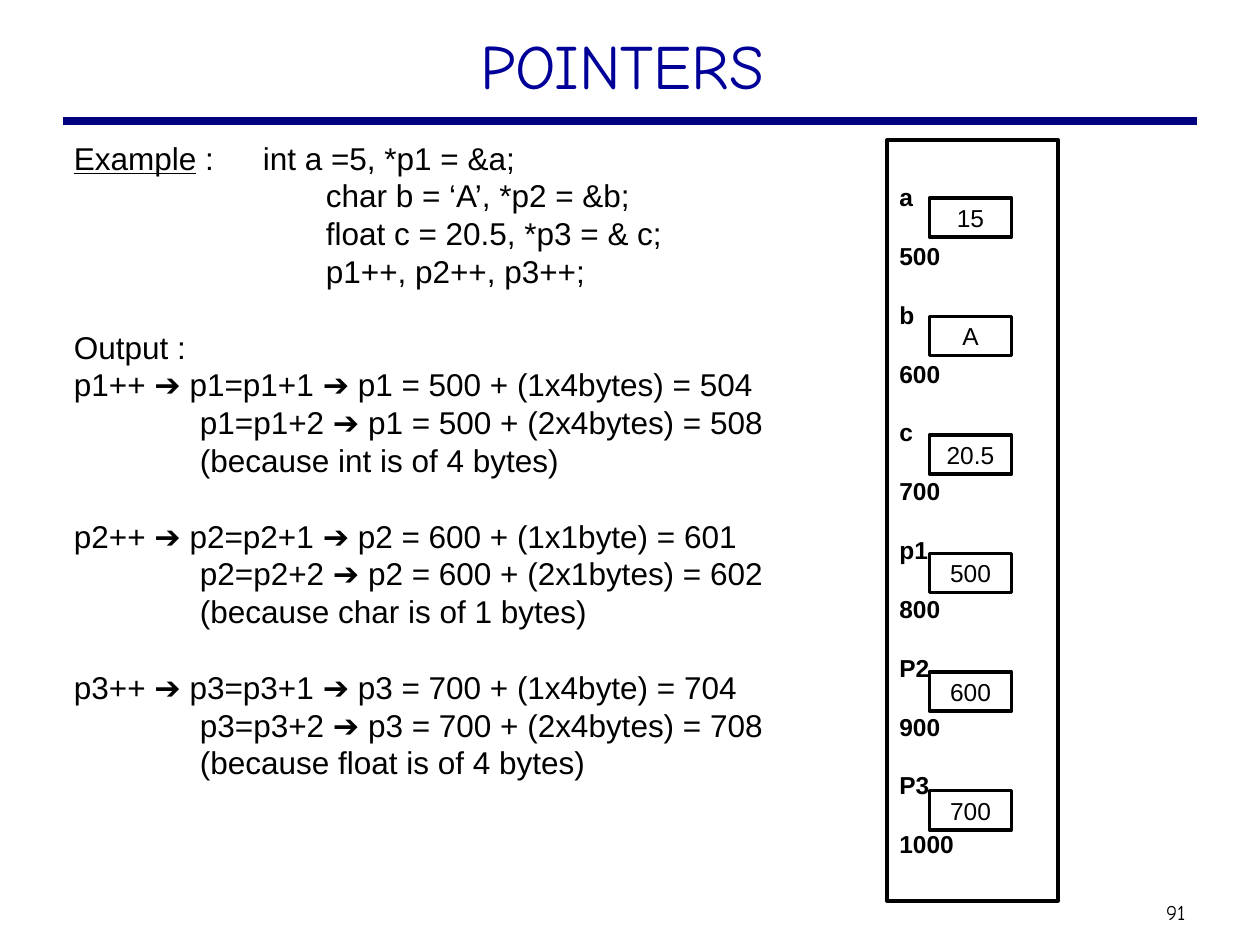
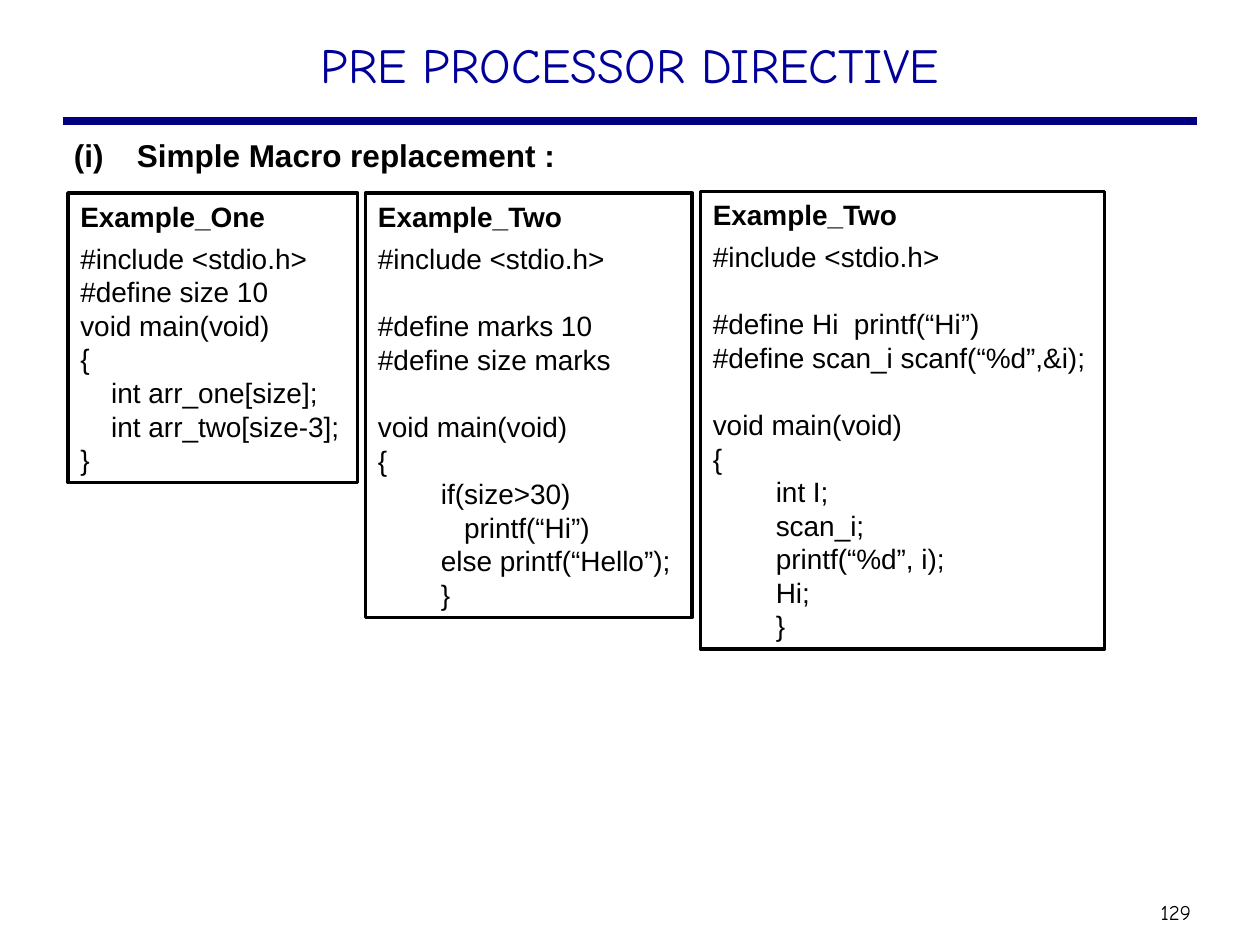
from dataclasses import dataclass

import pptx
import pptx.dml.color
import pptx.enum.shapes
import pptx.enum.text
import pptx.oxml
import pptx.util
from lxml import etree

Cm = pptx.util.Cm
Pt = pptx.util.Pt
Align = pptx.enum.text.PP_ALIGN
Anchor = pptx.enum.text.MSO_ANCHOR

TITLE_BLUE = pptx.dml.color.RGBColor(0x00, 0x00, 0x99)
RULE_NAVY = pptx.dml.color.RGBColor(0x00, 0x00, 0x80)
BLACK = pptx.dml.color.RGBColor(0x00, 0x00, 0x00)
BODY_FONT = "Arial"
TITLE_FONT = "Comic Neue"
LINE_PITCH = 1.2  # line height as a multiple of the text size
TAB = 2.54  # one default tab stop, in cm


@dataclass
class Box:
    """A rectangle in centimetres."""
    left: float
    top: float
    width: float
    height: float

    def lengths(self):
        return [Cm(n) for n in (self.left, self.top, self.width, self.height)]


@dataclass
class Line:
    """One paragraph; gap is the points of space before it."""
    text: str
    indent: float = 0
    gap: float = 0
    bold: bool = False
    underlined: str = ""  # underlined words that come before the text


def write_lines(shape, lines, size, font=BODY_FONT, color=BLACK,
                align=Align.LEFT, anchor=Anchor.TOP):
    frame = shape.text_frame
    for name, value in {"word_wrap": True, "vertical_anchor": anchor}.items():
        setattr(frame, name, value)
    for index, line in enumerate(lines):
        paragraph = frame.add_paragraph() if index else frame.paragraphs[0]
        if line.indent:
            paragraph._p.get_or_add_pPr().set("marL", str(Cm(line.indent)))
        layout = {"alignment": align, "line_spacing": Pt(size * LINE_PITCH)}
        if line.gap:
            layout["space_before"] = Pt(line.gap)
        for name, value in layout.items():
            setattr(paragraph, name, value)
        for text, underline in ((line.underlined, True), (line.text, False)):
            if not text:
                continue
            run = paragraph.add_run()
            run.text = text
            style = {"name": font, "size": Pt(size), "bold": line.bold,
                     "underline": underline}
            for name, value in style.items():
                setattr(run.font, name, value)
            run.font.color.rgb = color


def add_text(slide, box, lines, size, **style):
    write_lines(slide.shapes.add_textbox(*box.lengths()), lines, size, **style)


def add_frame(slide, box, lines, size, **style):
    """Outlined rectangle with its text in the middle of its height."""
    shape = slide.shapes.add_shape(
        pptx.enum.shapes.MSO_SHAPE.RECTANGLE, *box.lengths())
    shape.shadow.inherit = False
    shape.fill.background()
    shape.line.color.rgb = BLACK
    shape.line.width = Pt(2)
    write_lines(shape, lines, size, anchor=Anchor.MIDDLE, **style)


def add_slide(presentation, title, title_box, title_size, number):
    """Blank slide with the rule, page number and title all slides share."""
    slide = presentation.slides.add_slide(presentation.slide_layouts[6])
    rule = slide.shapes.add_connector(
        pptx.enum.shapes.MSO_CONNECTOR.STRAIGHT,
        Cm(1.27), Cm(2.44), Cm(24.13), Cm(2.44))
    rule.line.color.rgb = RULE_NAVY
    rule.line.width = Pt(4.5)
    etree.SubElement(rule._element.spPr, pptx.oxml.ns.qn("a:effectLst"))
    add_text(slide, Box(23.11, 18.01, 1.19, 0.76), [Line(number)], 12,
             font=TITLE_FONT, align=Align.CENTER, anchor=Anchor.MIDDLE)
    add_text(slide, title_box, [Line(title)], title_size,
             font=TITLE_FONT, color=TITLE_BLUE, align=Align.CENTER)
    return slide


# Pointer slide

def add_pointer_example(slide, box):
    size = 18
    blank = size * LINE_PITCH
    lines = [
        Line(" :\tint a =5, *p1 = &a;", underlined="Example"),
        Line("char b = ‘A’, *p2 = &b;", 2 * TAB),
        Line("float c = 20.5, *p3 = & c;", 2 * TAB),
        Line("p1++, p2++, p3++;", 2 * TAB),
        Line("Output :", gap=blank),
        Line("p1++ ➔ p1=p1+1 ➔ p1 = 500 + (1x4bytes) = 504"),
        Line("p1=p1+2 ➔ p1 = 500 + (2x4bytes) = 508", TAB),
        Line("(because int is of 4 bytes)", TAB),
        Line("p2++ ➔ p2=p2+1 ➔ p2 = 600 + (1x1byte) = 601", gap=blank),
        Line("p2=p2+2 ➔ p2 = 600 + (2x1bytes) = 602", TAB),
        Line("(because char is of 1 bytes)", TAB),
        Line("p3++ ➔ p3=p3+1 ➔ p3 = 700 + (1x4byte) = 704", gap=blank),
        Line("p3=p3+2 ➔ p3 = 700 + (2x4bytes) = 708", TAB),
        Line("(because float is of 4 bytes)", TAB),
    ]
    add_text(slide, box, lines, size)


def add_memory_column(slide, box):
    """Names and addresses down the column, one value cell for each."""
    size = 14
    variables = [("a", "500", "15"), ("b", "600", "A"), ("c", "700", "20.5"),
                 ("p1", "800", "500"), ("P2", "900", "600"),
                 ("P3", "1000", "700")]
    labels = [label for variable in variables for label in variable[:2]]
    add_frame(slide, box,
              [Line(label, gap=size * LINE_PITCH if index else 0, bold=True)
               for index, label in enumerate(labels)], size)
    for row, (_, _, value) in enumerate(variables):
        cell = Box(box.left + 0.86, box.top + 1.17 + row * 2.39, 1.65, 0.79)
        add_frame(slide, cell, [Line(value)], size, align=Align.CENTER)


def build_pointers(presentation):
    slide = add_slide(presentation, "POINTERS",
                      Box(1.75, 0.41, 21.59, 1.93), 36, "91")
    add_pointer_example(slide, Box(1.24, 2.67, 22.86, 15.21))
    add_memory_column(slide, Box(17.88, 2.82, 3.45, 15.34))


# Macro slide

def add_code_panel(slide, box, heading, blocks, indented=()):
    """Heading over blocks of code that are one line apart."""
    size = 16
    lines = [Line(heading, bold=True)]
    for block_index, block in enumerate(blocks):
        for line_index, code in enumerate(block):
            gap = 0
            if line_index == 0:
                gap = size * LINE_PITCH if block_index else 4.8
            lines.append(Line(code, gap=gap))
    lines += [Line(code, TAB / 2) for code in indented]
    add_frame(slide, box, lines, size)


def build_macros(presentation):
    slide = add_slide(presentation, "PRE PROCESSOR DIRECTIVE",
                      Box(1.9, 0.58, 21.59, 1.65), 28, "129")
    add_text(slide, Box(1.24, 2.62, 22.81, 1.02),
             [Line("(i)\tSimple Macro replacement :", bold=True)], 18)
    include = "#include <stdio.h>"
    main_start = ["void main(void)", "{"]
    add_code_panel(
        slide, Box(1.37, 3.89, 5.84, 5.84), "Example_One",
        [[include, "#define size 10", *main_start,
          "    int arr_one[size];", "    int arr_two[size-3];", "}"]])
    add_code_panel(
        slide, Box(7.37, 3.89, 6.58, 8.56), "Example_Two",
        [[include], ["#define marks 10", "#define size marks"], main_start],
        ["if(size>30)", "   printf(“Hi”)", "else printf(“Hello”);", "}"])
    add_code_panel(
        slide, Box(14.12, 3.86, 8.15, 9.22), "Example_Two",
        [[include],
         ["#define Hi  printf(“Hi”)", "#define scan_i scanf(“%d”,&i);"],
         main_start],
        ["int I;", "scan_i;", "printf(“%d”, i);", "Hi;", "}"])


def main():
    presentation = pptx.Presentation()
    presentation.slide_width = Cm(25.4)
    presentation.slide_height = Cm(19.05)
    build_pointers(presentation)
    build_macros(presentation)
    presentation.save("out.pptx")


if __name__ == "__main__":
    main()
